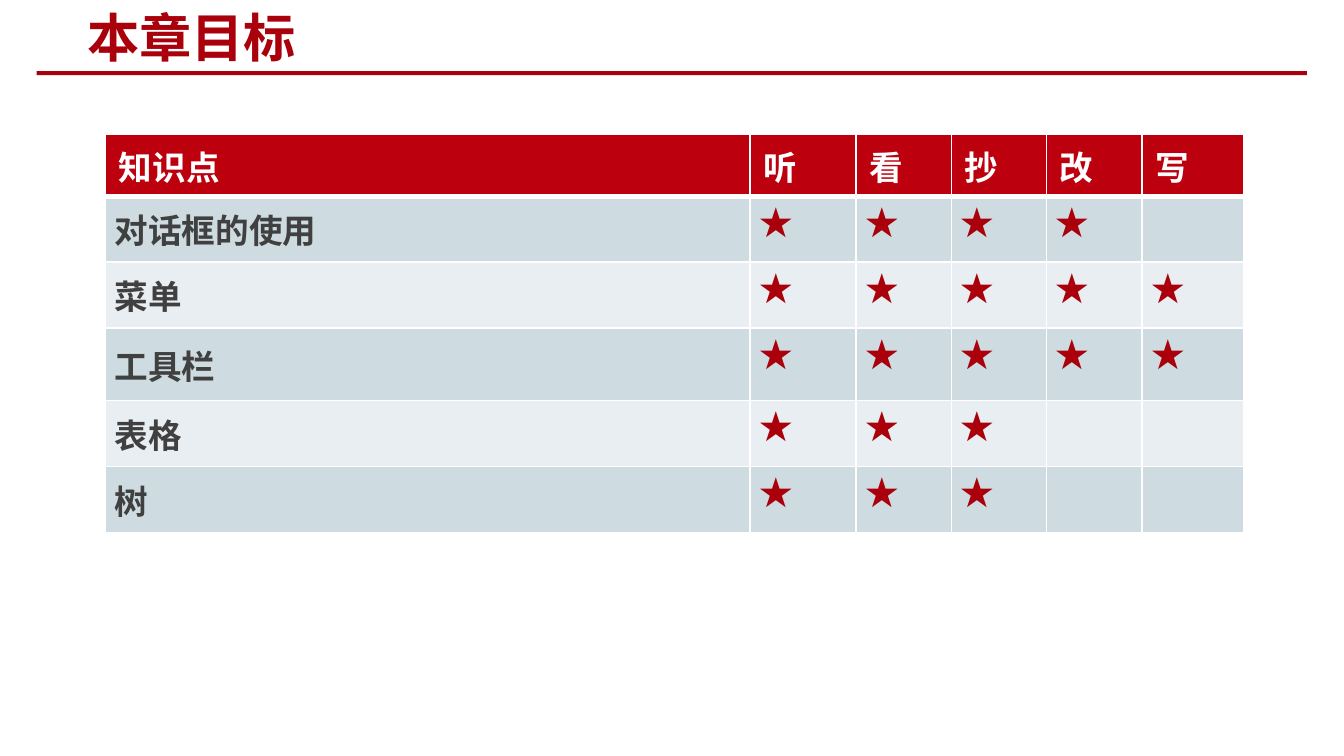
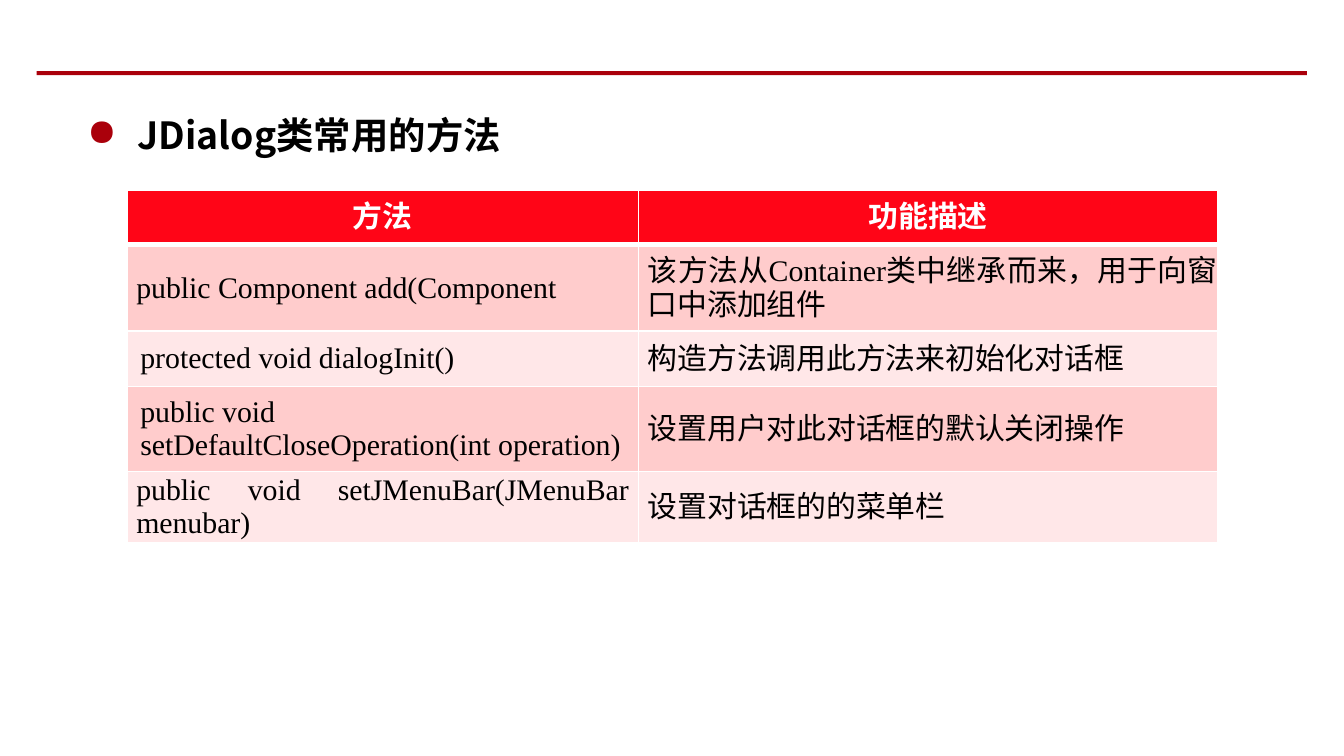
"""Build two slides on dialog goals and methods."""
import pptx
import pptx.dml.color
import pptx.enum.shapes
import pptx.enum.text
import pptx.oxml.ns
import pptx.util
from lxml import etree

Pt = pptx.util.Pt
ALIGN = pptx.enum.text.PP_ALIGN
ANCHOR = pptx.enum.text.MSO_ANCHOR
RED, WHITE, BLACK, GREY = "AA000B", "FFFFFF", "000000", "404040"
SANS, SERIF, PLAIN = "Noto Sans CJK SC", "Times New Roman", "Arial"
WIDE, TIGHT, NONE = (7.2, 3.6), (5, 0), (0, 0)
STAR = "★"


def tint(hue):
    """Turn a hex string into a colour."""
    return pptx.dml.color.RGBColor.from_string(hue)


def node(host, tag, **attrs):
    """Append an XML child to host."""
    return etree.SubElement(host, pptx.oxml.ns.qn(tag), attrs)


def write(para, text, size, font, hue, bold=False):
    """Add one styled run to a paragraph."""
    run = para.add_run()
    run.text = text
    run.font.size = Pt(size)
    run.font.name = font
    run.font.bold = bold
    run.font.color.rgb = tint(hue)
    node(run.font._element, "a:ea", typeface=font)


def indent(para, left, first=0):
    """Set the left margin and first line shift of a paragraph."""
    props = para._p.get_or_add_pPr()
    props.set("marL", str(Pt(left)))
    props.set("indent", str(Pt(first)))
    return props


def label(slide, left, top, width, height, anchor):
    """Add a wrapped text box and return its first paragraph."""
    box = slide.shapes.add_textbox(Pt(left), Pt(top), Pt(width), Pt(height))
    frame = box.text_frame
    frame.word_wrap = True
    frame.vertical_anchor = anchor
    return frame.paragraphs[0]


def page(deck):
    """Add a blank slide with the red rule."""
    slide = deck.slides.add_slide(deck.slide_layouts[6])
    rule = slide.shapes.add_shape(
        pptx.enum.shapes.MSO_SHAPE.RECTANGLE, Pt(19.6), Pt(38.1), Pt(680.6), Pt(2.2))
    rule.shadow.inherit = False
    rule.fill.solid()
    rule.fill.fore_color.rgb = tint(RED)
    rule.line.fill.background()
    return slide


def title(slide, text):
    """Write the slide title."""
    write(label(slide, 39.6, 0, 381.6, 39.6, ANCHOR.MIDDLE), text, 28, SANS, RED, True)


def bullet(slide, text):
    """Write the bulleted heading of the body."""
    para = label(slide, 39.6, 44.6, 646.6, 295.2, ANCHOR.TOP)
    para.line_spacing = 1.5
    para.space_before = Pt(4)
    props = indent(para, 27, -27)
    node(node(props, "a:buClr"), "a:srgbClr", val=RED)
    node(props, "a:buChar", char="●")
    write(para, text, 20, SANS, BLACK, True)


def grid(slide, left, top, cols, rows, fills):
    """Add a table with white lines, a head fill and two band fills."""
    frame = slide.shapes.add_table(
        len(rows), len(cols), Pt(left), Pt(top), Pt(sum(cols)), Pt(sum(rows)))
    table = frame.table
    table.horz_banding = False
    for col, width in zip(table.columns, cols):
        col.width = Pt(width)
    for i, height in enumerate(rows):
        table.rows[i].height = Pt(height)
        for cell in table.rows[i].cells:
            edge(cell, top=3 if i == 1 else 1, base=3 if i == 0 else 1)
            cell.fill.solid()
            cell.fill.fore_color.rgb = tint(fills[0] if i == 0 else fills[2 - i % 2])
    return table


def edge(cell, top, base):
    """Draw the four white borders of a cell."""
    props = cell._tc.get_or_add_tcPr()
    for side, width in zip("LRTB", (1, 1, top, base)):
        line = node(props, "a:ln" + side, w=str(Pt(width)))
        node(node(line, "a:solidFill"), "a:srgbClr", val=WHITE)


def pad(cell, inset, anchor=ANCHOR.MIDDLE, align=None):
    """Set the insets and alignment of a cell and return its paragraph."""
    cell.margin_left = cell.margin_right = Pt(inset[0])
    cell.margin_top = cell.margin_bottom = Pt(inset[1])
    cell.vertical_anchor = anchor
    para = cell.text_frame.paragraphs[0]
    para.alignment = align
    return para


def goals(deck):
    """Build the slide of chapter goals."""
    slide = page(deck)
    title(slide, "本章目标")
    topics = [("对话框的使用", 4), ("菜单", 5), ("工具栏", 5), ("表格", 3), ("树", 3)]
    table = grid(slide, 56.5, 72, [345.4, 56.8, 51, 51, 51, 54.6],
                 [33.2, 35.3, 35.3, 38.9, 35.3, 35.3], ("BC000D", "CEDCE1", "E8EEF1"))
    for j, text in enumerate(["知识点", *"听看抄改写"]):
        write(pad(table.cell(0, j), WIDE, ANCHOR.TOP), text, 18, SANS, WHITE, True)
    for i, (topic, count) in enumerate(topics, 1):
        write(pad(table.cell(i, 0), TIGHT), topic, 18, SANS, GREY, True)
        for j in range(1, count + 1):
            write(pad(table.cell(i, j), TIGHT, ANCHOR.TOP), STAR, 18, SANS, RED, True)


def methods(deck):
    """Build the slide of dialog methods."""
    slide = page(deck)
    bullet(slide, "JDialog类常用的方法")
    calls = [
        ("public Component add(Component", TIGHT, None,
         [("该方法从", PLAIN), ("Container", SERIF),
          ("类中继承而来，用于向窗口中添加组件", PLAIN)]),
        ("protected void dialogInit()", WIDE, None,
         [("构造方法调用此方法来初始化对话框", PLAIN)]),
        ("public void setDefaultCloseOperation(int operation)", WIDE, None,
         [("设置用户对此对话框的默认关闭操作", PLAIN)]),
        ("public void setJMenuBar(JMenuBar menubar)", TIGHT, ALIGN.JUSTIFY,
         [("设置对话框的的菜单栏", PLAIN)]),
    ]
    table = grid(slide, 68, 101.7, [274.1, 310.4], [29.5, 46.3, 29.5, 42.8, 35.1],
                 ("FF0517", "FFCCCC", "FFE7E8"))
    for j, text in enumerate(["方法", "功能描述"]):
        write(pad(table.cell(0, j), TIGHT, align=ALIGN.CENTER), text, 16, PLAIN, WHITE, True)
    for i, (call, inset, align, parts) in enumerate(calls, 1):
        write(pad(table.cell(i, 0), inset, align=align), call, 16, SERIF, BLACK)
        para = pad(table.cell(i, 1), NONE, align=ALIGN.JUSTIFY)
        indent(para, 5)
        for text, font in parts:
            write(para, text, 16, font, BLACK)


def main():
    """Build and save the deck."""
    deck = pptx.Presentation()
    deck.slide_width, deck.slide_height = Pt(720), Pt(405)
    goals(deck)
    methods(deck)
    deck.save("out.pptx")


if __name__ == "__main__":
    main()
